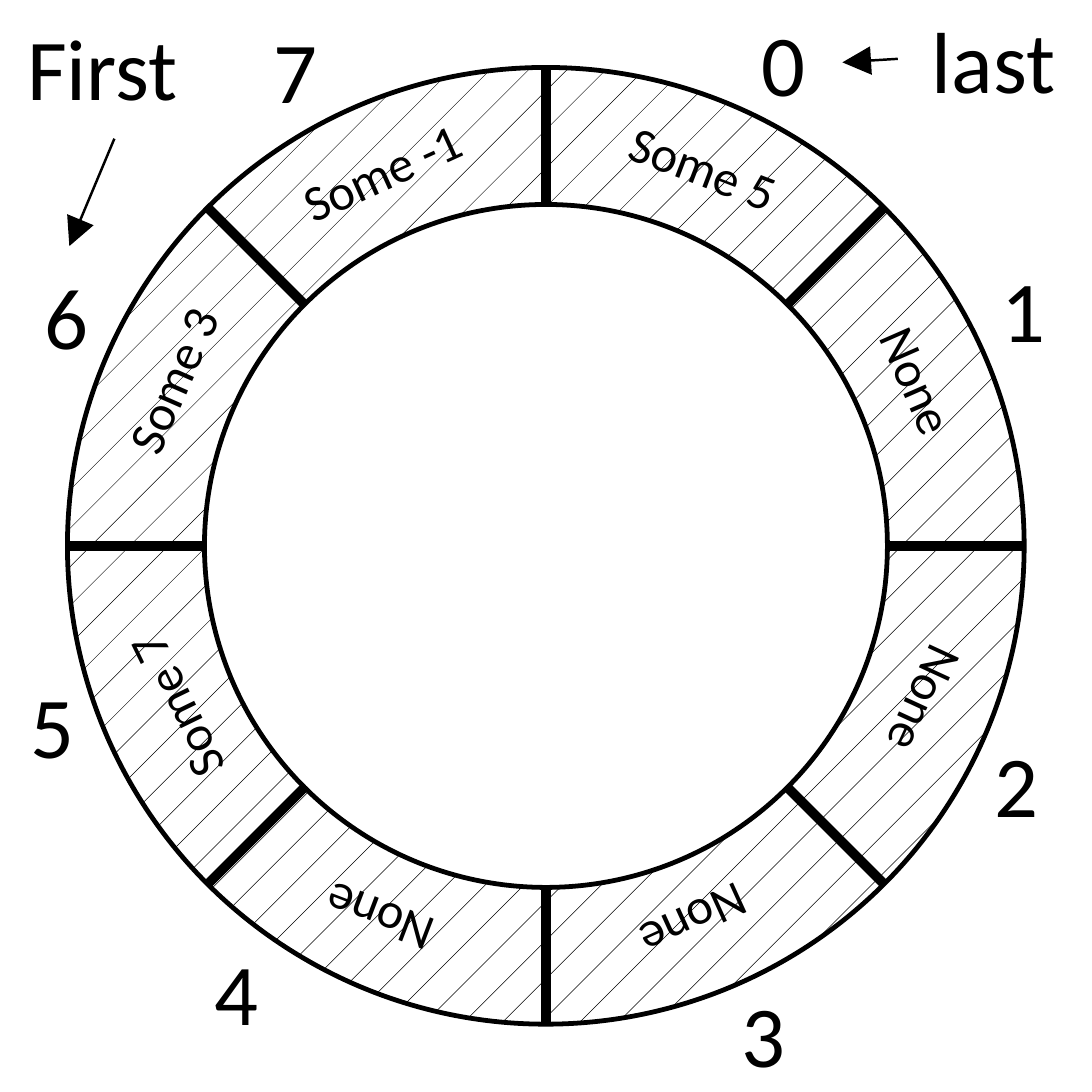
from dataclasses import dataclass
from math import cos, pi, sin

from lxml import etree
from pptx import Presentation
from pptx.dml.color import RGBColor
from pptx.enum.dml import MSO_PATTERN
from pptx.enum.shapes import MSO_CONNECTOR, MSO_SHAPE
from pptx.enum.text import MSO_AUTO_SIZE
from pptx.oxml.ns import qn
from pptx.shapes.autoshape import Shape
from pptx.shapes.connector import Connector
from pptx.slide import Slide
from pptx.util import Inches, Pt

BLACK = RGBColor(0x00, 0x00, 0x00)
WHITE = RGBColor(0xFF, 0xFF, 0xFF)
OVAL = MSO_SHAPE.OVAL
STRAIGHT = MSO_CONNECTOR.STRAIGHT
HATCH = MSO_PATTERN.PERCENT_10
GROW = MSO_AUTO_SIZE.SHAPE_TO_FIT_TEXT

FONT = "Calibri"
SLIDE_SIZE = 3.15
CENTER = SLIDE_SIZE / 2
OUTER_RADIUS = 1.38
INNER_RADIUS = 0.985
SLOT_COUNT = 8


@dataclass(frozen=True)
class Label:
    text: str
    left: float
    top: float
    width: float
    height: float = 0.4
    size: float = 18
    rotation: float = 0


@dataclass(frozen=True)
class Slot:
    text: str
    left: float
    top: float
    width: float
    rotation: float


@dataclass(frozen=True)
class Line:
    start: tuple[float, float]
    end: tuple[float, float]
    weight: float


INDEX_POSITIONS = [
    (2.1, -0.02), (2.79, 0.69), (2.77, 2.06), (2.04, 2.78),
    (0.52, 2.66), (-0.01, 1.89), (0.03, 0.71), (0.69, 0),
]
SLOTS = [
    Slot("Some 5", 1.71, 0.35, 0.67, 20.9),
    Slot("None", 2.39, 0.96, 0.52, 66.3),
    Slot("None", 2.41, 1.88, 0.52, 114.8),
    Slot("None", 1.74, 2.52, 0.52, 155.6),
    Slot("None", 0.83, 2.51, 0.52, 200.9),
    Slot("Some 7", 0.18, 1.89, 0.65, 244),
    Slot("Some 3", 0.17, 0.94, 0.67, 293.7),
    Slot("Some -1", 0.76, 0.35, 0.71, 335.5),
]
POINTER_LABELS = [
    Label("last", 2.59, -0.03, 0.56),
    Label("First", -0.02, -0.01, 0.7),
]
POINTER_ARROWS = [
    Line((2.59, 0.17), (2.43, 0.18), 0.5),
    Line((0.33, 0.4), (0.2, 0.71), 0.5),
]


def add_circle(slide: Slide, radius: float) -> Shape:
    corner = Inches(CENTER - radius)
    diameter = Inches(2 * radius)
    circle = slide.shapes.add_shape(OVAL, corner, corner, diameter, diameter)
    circle.shadow.inherit = False
    circle.line.color.rgb = BLACK
    circle.line.width = Pt(1)
    return circle


def add_line(slide: Slide, line: Line) -> Connector:
    points = [Inches(value) for value in (*line.start, *line.end)]
    connector = slide.shapes.add_connector(STRAIGHT, *points)
    connector.line.color.rgb = BLACK
    connector.line.width = Pt(line.weight)
    etree.SubElement(connector._element.spPr, qn("a:effectLst"))
    return connector


def add_arrow(slide: Slide, line: Line) -> None:
    connector = add_line(slide, line)
    outline = connector.line._get_or_add_ln()
    etree.SubElement(outline, qn("a:tailEnd"), type="triangle")


def add_label(slide: Slide, label: Label) -> None:
    box = slide.shapes.add_textbox(
        Inches(label.left), Inches(label.top), Inches(label.width), Inches(label.height)
    )
    box.rotation = label.rotation
    frame = box.text_frame
    frame.word_wrap = False
    frame.auto_size = GROW
    run = frame.paragraphs[0].add_run()
    run.text = label.text
    run.font.name = FONT
    run.font.size = Pt(label.size)
    run.font.color.rgb = BLACK


def draw_ring(slide: Slide) -> None:
    ring = add_circle(slide, OUTER_RADIUS)
    ring.fill.patterned()
    ring.fill.pattern = HATCH
    ring.fill.fore_color.rgb = BLACK
    ring.fill.back_color.rgb = WHITE
    for index in range(SLOT_COUNT):
        angle = 2 * pi * index / SLOT_COUNT
        rim = (CENTER + OUTER_RADIUS * cos(angle), CENTER + OUTER_RADIUS * sin(angle))
        add_line(slide, Line((CENTER, CENTER), rim, 2))
    hole = add_circle(slide, INNER_RADIUS)
    hole.fill.solid()
    hole.fill.fore_color.rgb = WHITE


def main() -> None:
    presentation = Presentation()
    presentation.slide_width = Inches(SLIDE_SIZE)
    presentation.slide_height = Inches(SLIDE_SIZE)
    slide = presentation.slides.add_slide(presentation.slide_layouts[6])
    draw_ring(slide)
    for index, (left, top) in enumerate(INDEX_POSITIONS):
        add_label(slide, Label(str(index), left, top, 0.33))
    for slot in SLOTS:
        add_label(
            slide,
            Label(slot.text, slot.left, slot.top, slot.width, 0.28, 10.5, slot.rotation),
        )
    for label in POINTER_LABELS:
        add_label(slide, label)
    for arrow in POINTER_ARROWS:
        add_arrow(slide, arrow)
    presentation.save("out.pptx")


if __name__ == "__main__":
    main()
